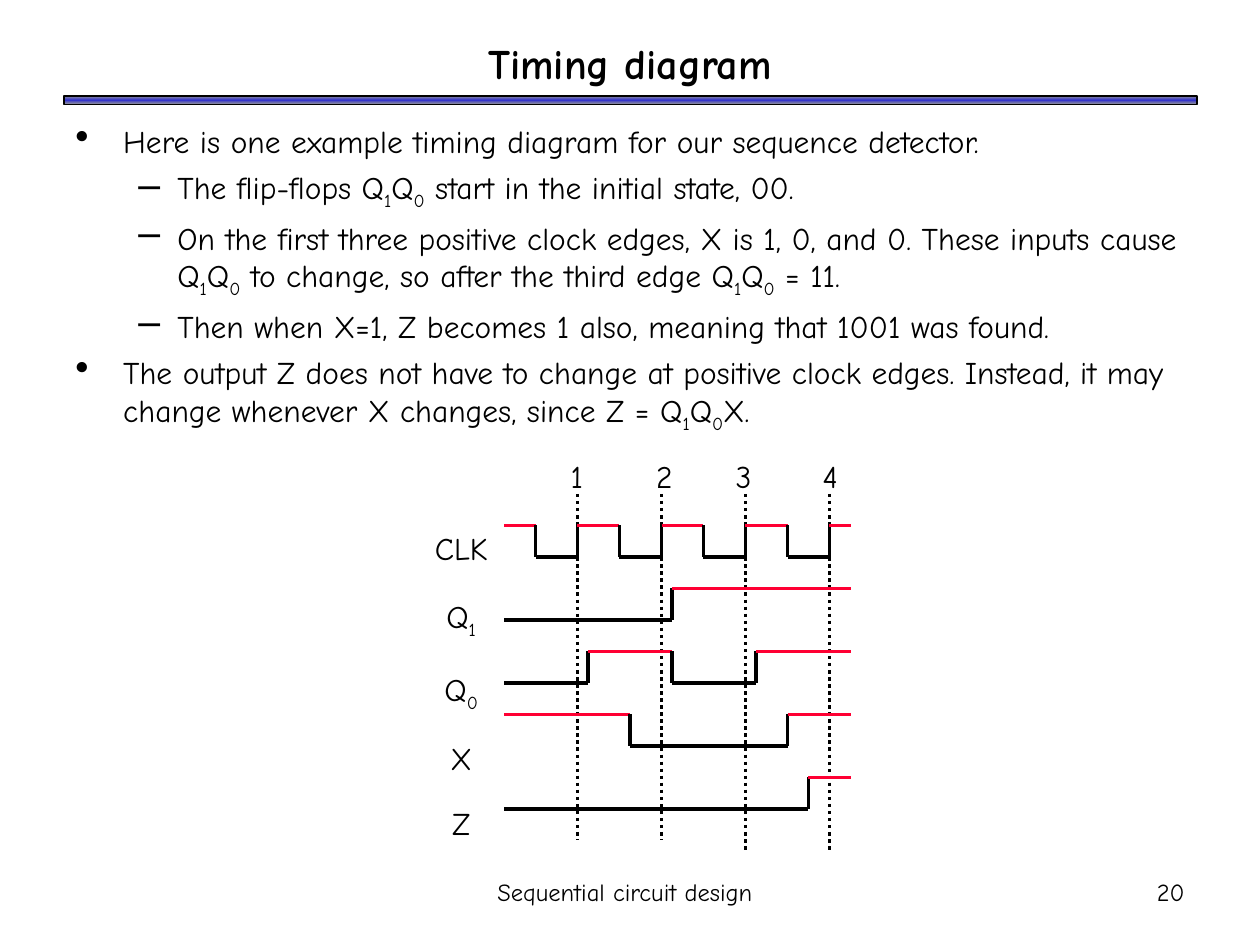
import copy

import pptx
import pptx.dml.color
import pptx.enum.dml
import pptx.enum.shapes
import pptx.enum.text
import pptx.oxml.ns
import pptx.util
from lxml import etree
from pptx.util import Inches

COLORS = {"ink": "000000", "high": "FF0033", "bar": "3333CC", "edge": "969696"}
FONT = "Comic Neue"
ALIGN = pptx.enum.text.PP_ALIGN
ANCHOR = pptx.enum.text.MSO_ANCHOR

# Diagram grid: times count twelfths of an inch from LEFT
LEFT, TOP = 4, 4.17
END = 33
ROW_STEP, SWING = 0.5, 0.25
CLOCK_EDGES = range(7, END, 8)

# Starting level (1 is high) and the times at which each signal toggles
SIGNALS = {
    "CLK": (1, range(3, END, 4)),
    "Q_1": (0, [16]),
    "Q_0": (0, [8, 16, 24]),
    "X": (1, [12, 27]),
    "Z": (0, [29]),
}

# Outline level and text; an underscore lowers the character after it
POINTS = [
    (0, "Here is one example timing diagram for our sequence detector."),
    (1, "The flip-flops Q_1Q_0 start in the initial state, 00."),
    (1, "On the first three positive clock edges, X is 1, 0, and 0. These inputs cause "
        "Q_1Q_0 to change, so after the third edge Q_1Q_0 = 11."),
    (1, "Then when X=1, Z becomes 1 also, meaning that 1001 was found."),
    (0, "The output Z does not have to change at positive clock edges. Instead, it may "
        "change whenever X changes, since Z = Q_1Q_0X."),
]
BULLETS = [("•", 0.38, -0.38), ("–", 0.81, -0.31)]


def rgb(name):
    return pptx.dml.color.RGBColor.from_string(COLORS[name])


def add_child(parent, tag, **attributes):
    child = etree.SubElement(parent, pptx.oxml.ns.qn(tag))
    for key, value in attributes.items():
        child.set(key, str(value))
    return child


def add_box(page, left, top, width, height, anchor=ANCHOR.TOP, wrap=True):
    box = page.shapes.add_textbox(Inches(left), Inches(top), Inches(width), Inches(height))
    box.text_frame.word_wrap = wrap
    box.text_frame.vertical_anchor = anchor
    return box


def write(box, text, size=18, bold=False, align=ALIGN.LEFT, spacing=None, before=None):
    """Add one paragraph to the box, using its empty first one if there is one."""
    frame = box.text_frame
    para = frame.paragraphs[0] if not frame.text else frame.add_paragraph()
    para.alignment = align
    para.line_spacing = spacing
    if before is not None:
        para.space_before = pptx.util.Pt(before)
    first, *rest = text.split("_")
    pieces = [(first, False)]
    for piece in rest:
        pieces += [(piece[0], True), (piece[1:], False)]
    for piece, lowered in pieces:
        if not piece:
            continue
        span = para.add_run()
        span.text = piece
        span.font.name = FONT
        span.font.size = pptx.util.Pt(size)
        span.font.bold = bold
        span.font.color.rgb = rgb("ink")
        if lowered:
            span.font._element.set("baseline", "-25000")
    return para


def add_bullet(para, char, margin, indent):
    properties = para._p.get_or_add_pPr()
    properties.set("marL", str(Inches(margin)))
    properties.set("indent", str(Inches(indent)))
    add_child(add_child(properties, "a:buClr"), "a:srgbClr", val=COLORS["ink"])
    add_child(properties, "a:buSzPct", val=125000)
    add_child(properties, "a:buChar", char=char)


def add_line(page, start, end, color="ink", dotted=False):
    x1, y1, x2, y2 = (Inches(value) for value in (*start, *end))
    line = page.shapes.add_connector(pptx.enum.shapes.MSO_CONNECTOR.STRAIGHT, x1, y1, x2, y2)
    line.line.width = pptx.util.Pt(2)
    line.line.color.rgb = rgb(color)
    if dotted:
        line.line.dash_style = pptx.enum.dml.MSO_LINE.ROUND_DOT
    add_child(line._element.spPr, "a:effectLst")


def add_title_bar(page):
    bar = page.shapes.add_shape(pptx.enum.shapes.MSO_SHAPE.RECTANGLE,
                                Inches(0.51), Inches(0.76), Inches(8.99), Inches(0.07))
    bar.shadow.inherit = False
    bar.line.color.rgb = rgb("ink")
    bar.line.width = pptx.util.Pt(1)
    bar.fill.gradient()
    bar.fill.gradient_angle = 90
    stop = bar._element.spPr.find(".//" + pptx.oxml.ns.qn("a:gs"))
    stop.addnext(copy.deepcopy(stop))
    for place, (stop, color) in enumerate(zip(bar.fill.gradient_stops, ("edge", "bar", "edge"))):
        stop.position = place / 2
        stop.color.rgb = rgb(color)


def time_x(time):
    return LEFT + time / 12


def add_wave(page, row, level, toggles):
    high = TOP + row * ROW_STEP
    low = high + SWING
    times = [0, *toggles, END]
    for start, end in zip(times, times[1:]):
        y = high if level else low
        add_line(page, (time_x(start), y), (time_x(end), y), "high" if level else "ink")
        if end != END:
            add_line(page, (time_x(end), low), (time_x(end), high))
        level = 1 - level


def add_diagram(page):
    # Signal names
    names = add_box(page, 3.35, 4, 0.62, 2.73, wrap=False)
    for row, name in enumerate(SIGNALS):
        write(names, name, align=ALIGN.CENTER, spacing=1.7 if row else 1.5)

    # Clock edge guides and waves
    for number, time in enumerate(CLOCK_EDGES):
        bottom = 6.67 if number < 2 else 6.75
        add_line(page, (time_x(time), 3.92), (time_x(time), bottom), dotted=True)
    for row, (level, toggles) in enumerate(SIGNALS.values()):
        add_wave(page, row, level, toggles)

    # Clock edge numbers, spaced by tab stops
    numbers = write(add_box(page, 4.43, 3.58, 2.4, 0.4), "\t".join("1234"))
    tabs = add_child(numbers._p.get_or_add_pPr(), "a:tabLst")
    for position in (0.68, 1.31, 2):
        add_child(tabs, "a:tab", pos=Inches(position), algn="l")


def main():
    deck = pptx.Presentation()
    deck.slide_width, deck.slide_height = Inches(10), Inches(7.5)
    page = deck.slides.add_slide(deck.slide_layouts[6])

    # Heading
    add_title_bar(page)
    title = add_box(page, 0.5, 0.25, 9, 0.5, ANCHOR.MIDDLE)
    write(title, "Timing diagram", size=24, bold=True, align=ALIGN.CENTER)

    # Explanation
    body = add_box(page, 0.5, 0.92, 9, 2.6)
    for level, text in POINTS:
        para = write(body, text, before=4.5)
        para.level = level
        add_bullet(para, *BULLETS[level])

    add_diagram(page)

    # Footer
    footer = add_box(page, 3, 6.83, 3.92, 0.5, ANCHOR.MIDDLE)
    write(footer, "Sequential circuit design", size=14, align=ALIGN.CENTER)
    page_number = add_box(page, 7.42, 6.83, 2.08, 0.5, ANCHOR.MIDDLE)
    write(page_number, "20", size=14, align=ALIGN.RIGHT)

    deck.save("out.pptx")


if __name__ == "__main__":
    main()
